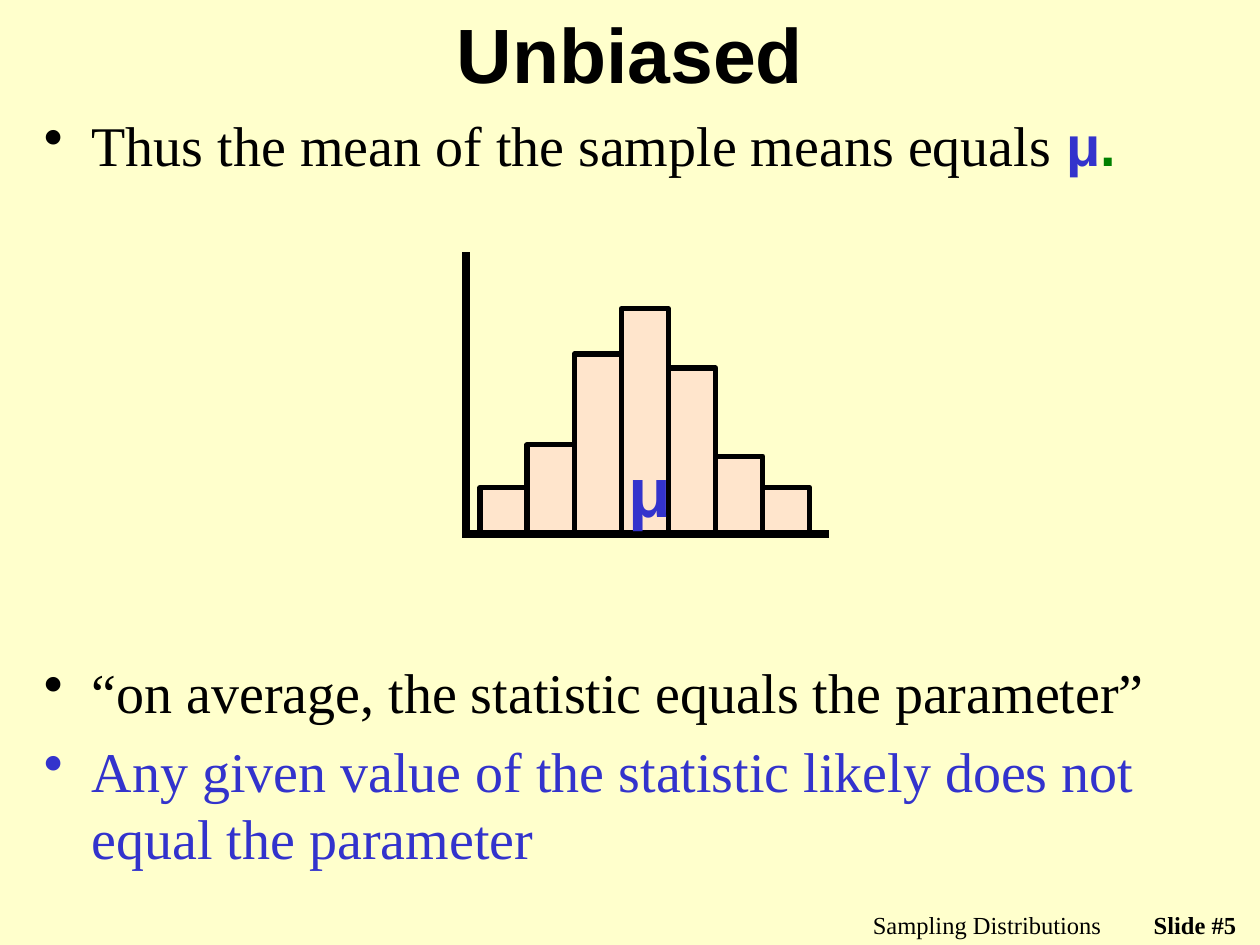
from dataclasses import dataclass

from lxml.etree import SubElement as Sub
from pptx import Presentation
from pptx.dml.color import RGBColor as Color
from pptx.enum.shapes import MSO_CONNECTOR as Connector, MSO_SHAPE as Shape
from pptx.enum.text import MSO_ANCHOR as Anchor, PP_ALIGN as Align
from pptx.oxml.ns import qn
from pptx.util import Inches, Pt


@dataclass(frozen=True)
class Theme:
    """Colours, fonts and type sizes of the slide."""
    paper: str = "FFFFCC"
    ink: str = "000000"
    blue: str = "3333CC"
    green: str = "008000"
    bar: str = "FFCCCC"
    sans: str = "Arial"
    serif: str = "Times New Roman"
    title: int = 44
    symbol: int = 40
    body: int = 32
    footer: int = 14
    axis_line: float = 4.5
    bar_line: float = 3


THEME = Theme()


def add_box(page, left, top, width, height, wrap=True, anchor=Anchor.TOP):
    """Add an empty text box and return its text frame."""
    box = page.shapes.add_textbox(Inches(left), Inches(top), Inches(width), Inches(height))
    frame = box.text_frame
    frame.word_wrap = wrap
    frame.vertical_anchor = anchor
    return frame


def add_span(para, text, size, font=THEME.serif, color=THEME.ink, bold=False):
    """Add one formatted run to a paragraph."""
    span = para.add_run()
    span.text = text
    span.font.size = Pt(size)
    span.font.name = font
    span.font.bold = bold
    span.font.color.rgb = Color.from_string(color)


def add_label(page, place, text, size, align=Align.LEFT, wrap=True, anchor=Anchor.TOP, **style):
    """Add a text box holding a single run."""
    para = add_box(page, *place, wrap=wrap, anchor=anchor).paragraphs[0]
    para.alignment = align
    add_span(para, text, size, **style)


def add_bullets(page, place, items):
    """Add a bulleted list whose items are lists of (text, style) spans."""
    frame = add_box(page, *place)
    for index, spans in enumerate(items):
        para = frame.add_paragraph() if index else frame.paragraphs[0]
        properties = para._p.get_or_add_pPr()
        properties.set("marL", str(Inches(0.38)))
        properties.set("indent", str(Inches(-0.38)))
        Sub(properties, qn("a:buChar"), char="•")
        if index:
            para.space_before = Pt(THEME.body * 0.2)
        for text, style in spans:
            add_span(para, text, THEME.body, **style)


def add_axis(group, start, end):
    """Add a thick straight axis line."""
    points = [Inches(value) for value in (*start, *end)]
    axis = group.shapes.add_connector(Connector.STRAIGHT, *points)
    axis.line.color.rgb = Color.from_string(THEME.ink)
    axis.line.width = Pt(THEME.axis_line)
    Sub(axis._element.spPr, qn("a:effectLst"))


def add_bar(group, left, top, width, bottom):
    """Add one half-transparent histogram bar."""
    bar = group.shapes.add_shape(
        Shape.RECTANGLE, Inches(left), Inches(top), Inches(width), Inches(bottom - top))
    bar.shadow.inherit = False
    bar.fill.solid()
    bar.fill.fore_color.rgb = Color.from_string(THEME.bar)
    color = bar._element.spPr.find(qn("a:solidFill")).find(qn("a:srgbClr"))
    Sub(color, qn("a:alpha"), val="50000")
    bar.line.color.rgb = Color.from_string(THEME.ink)
    bar.line.width = Pt(THEME.bar_line)


def add_histogram(page):
    """Add the grouped histogram of sample means with its axes."""
    group = page.shapes.add_group_shape()
    base, first, step = 4.24, 3.81, 0.374
    add_axis(group, (3.7, 2), (3.7, base))
    for index, top in enumerate((3.87, 3.53, 2.81, 2.45, 2.92, 3.62, 3.87)):
        add_bar(group, first + index * step, top, step, base)
    add_axis(group, (6.58, base), (3.67, base))


def main():
    """Build the slide and save it."""
    deck = Presentation()
    deck.slide_width, deck.slide_height = Inches(10), Inches(7.5)
    page = deck.slides.add_slide(deck.slide_layouts[6])
    page.background.fill.solid()
    page.background.fill.fore_color.rgb = Color.from_string(THEME.paper)

    add_label(page, (5.67, 7.17, 3.17, 0.25), "Sampling Distributions", THEME.footer, Align.RIGHT)
    add_label(page, (8.83, 7.17, 1.08, 0.17), "Slide #5", THEME.footer, Align.RIGHT, bold=True)
    add_label(page, (0.75, 0.08, 8.5, 0.67), "Unbiased", THEME.title, Align.CENTER,
              anchor=Anchor.MIDDLE, font=THEME.sans, bold=True)

    mean = {"font": THEME.sans, "color": THEME.blue, "bold": True}
    add_bullets(page, (0.25, 0.83, 9.5, 0.83), [[
        ("Thus the mean of the sample means equals ", {}),
        ("μ", mean),
        (".", {**mean, "color": THEME.green}),
    ]])
    add_histogram(page)
    add_label(page, (4.89, 3.5, 0.52, 0.77), "μ", THEME.symbol, wrap=False, **mean)
    add_bullets(page, (0.25, 5.17, 9.5, 1.92), [
        [("“on average, the statistic equals the parameter”", {})],
        [("Any given value of the statistic likely does not equal the parameter",
          {"color": THEME.blue})],
    ])
    deck.save("out.pptx")


if __name__ == "__main__":
    main()
